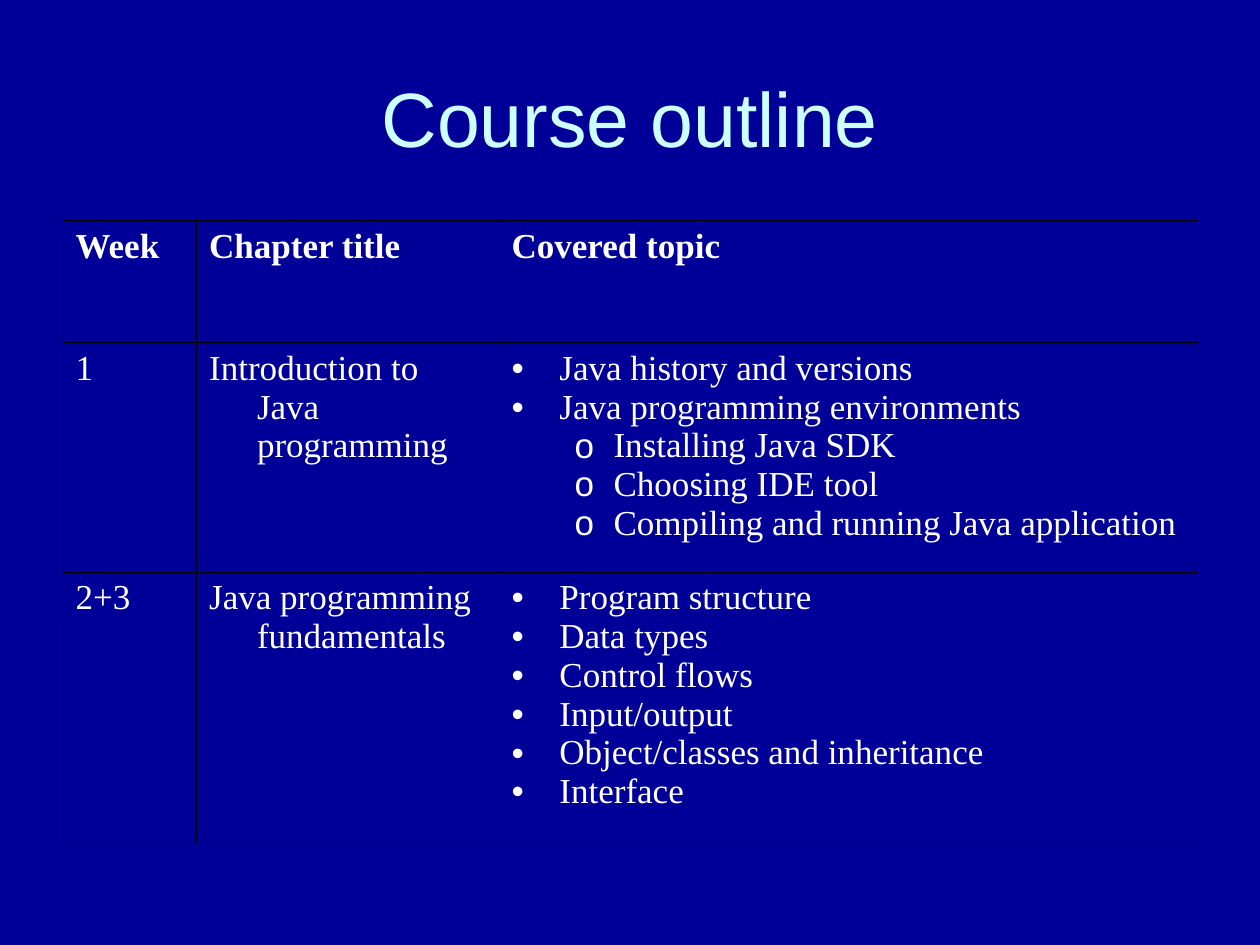
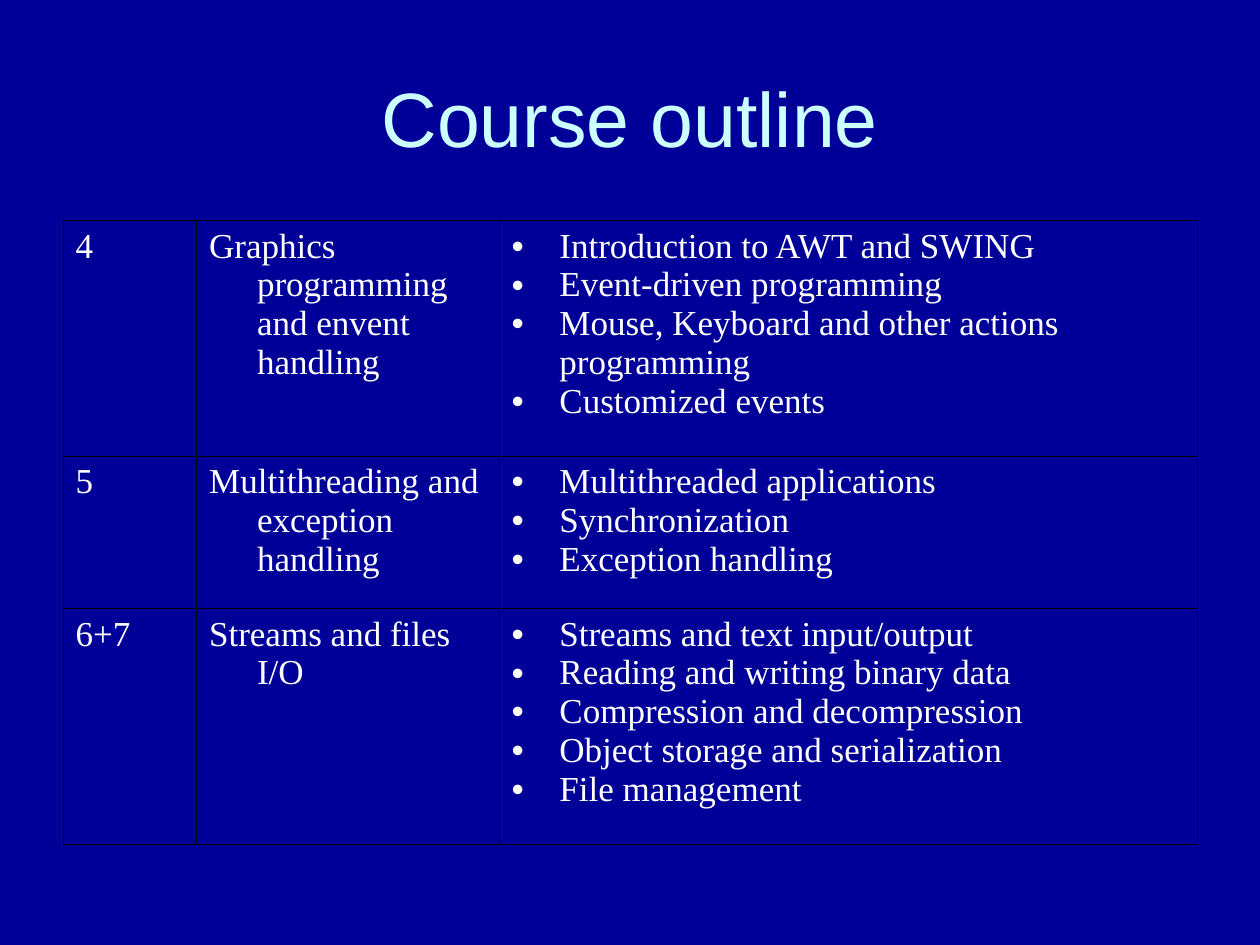
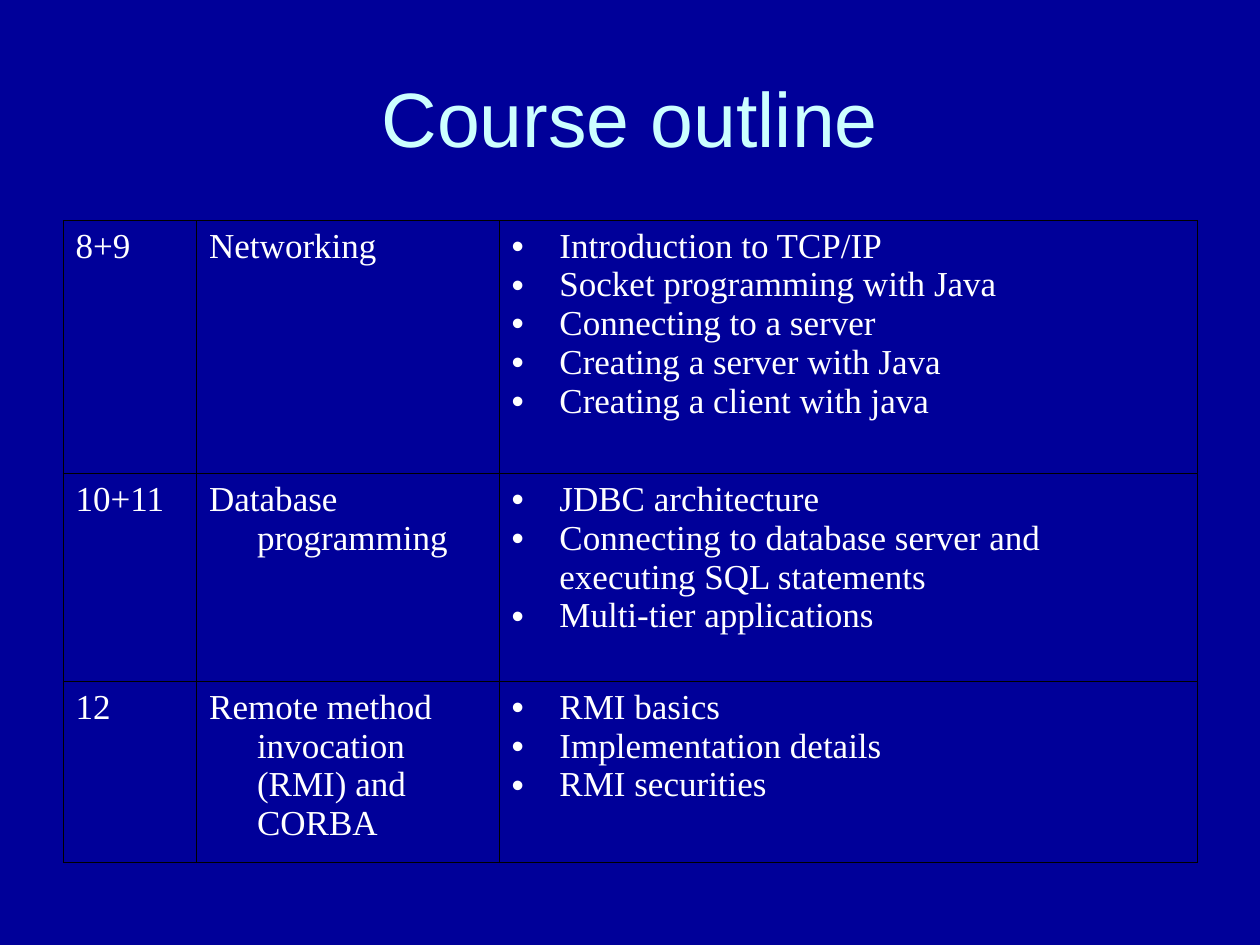
"""Build the three course outline slides."""
from lxml import etree
from pptx import Presentation
from pptx.dml.color import RGBColor
from pptx.enum.text import MSO_ANCHOR, PP_ALIGN
from pptx.oxml.ns import qn
from pptx.util import Inches, Pt

MIDDLE, CENTER = MSO_ANCHOR.MIDDLE, PP_ALIGN.CENTER
NAVY = RGBColor(0x00, 0x00, 0x99)
PALE = RGBColor(0xCC, 0xFF, 0xFF)
WHITE = RGBColor(0xFF, 0xFF, 0xFF)
BLACK = RGBColor(0x00, 0x00, 0x00)
SANS, SERIF = "Arial", "Times New Roman"

TITLE = "Course outline"
HEAD = ("Week", "Chapter title", "Covered topic")
LEFT, TOP, WIDTH = 0.5, 1.75, 9
COLS = (1.06, 2.4, 5.54)
EDGES = ("a:lnL", "a:lnR", "a:lnT", "a:lnB")
BULLETS = (("•", 0.38, 0.38), ("o", 0.81, 0.31))

SLIDES = [
    {"heights": (0.97, 1.82, 2.15), "rows": [
        HEAD,
        ("1", "Introduction to Java programming", [
            "Java history and versions",
            "Java programming environments",
            ["Installing Java SDK", "Choosing IDE tool",
             "Compiling and running Java application"]]),
        ("2+3", "Java programming fundamentals", [
            "Program structure", "Data types", "Control flows",
            "Input/output", "Object/classes and inheritance", "Interface"]),
    ]},
    {"heights": (1.87, 1.21, 1.87), "rows": [
        ("4", "Graphics programming and envent handling", [
            "Introduction to AWT and SWING", "Event-driven programming",
            "Mouse, Keyboard and other actions programming",
            "Customized events"]),
        ("5", "Multithreading and exception handling", [
            "Multithreaded applications", "Synchronization",
            "Exception handling"]),
        ("6+7", "Streams and files I/O", [
            "Streams and text input/output",
            "Reading and writing binary data",
            "Compression and decompression",
            "Object storage and serialization", "File management"]),
    ]},
    {"heights": (2.01, 1.65, 1.43), "rows": [
        ("8+9", "Networking", [
            "Introduction to TCP/IP", "Socket programming with Java",
            "Connecting to a server", "Creating a server with Java",
            "Creating a client with java"]),
        ("10+11", "Database programming", [
            "JDBC architecture",
            "Connecting to database server and executing SQL statements",
            "Multi-tier applications"]),
        ("12", "Remote method invocation (RMI) and CORBA", [
            "RMI basics", "Implementation details", "RMI securities"]),
    ]},
]


def style(para, face, size, color, bold=False):
    for run in para.runs:
        font = run.font
        font.name, font.size, font.bold = face, Pt(size), bold
        font.color.rgb = color


def add_color(node, color):
    etree.SubElement(node, qn("a:srgbClr")).set("val", str(color))


def indent(para, left, hang):
    props = para._p.get_or_add_pPr()
    props.set("marL", str(Inches(left)))
    props.set("indent", str(-Inches(hang)))
    return props


def add_bullet(para, level):
    mark, left, hang = BULLETS[level]
    para.level = level
    props = indent(para, left, hang)
    add_color(etree.SubElement(props, qn("a:buClr")), WHITE)
    etree.SubElement(props, qn("a:buFont")).set("typeface", SANS)
    etree.SubElement(props, qn("a:buChar")).set("char", mark)


def add_borders(cell):
    props = cell._tc.get_or_add_tcPr()
    for edge in EDGES:
        line = etree.SubElement(props, qn(edge))
        line.set("w", str(Pt(0.45)))
        add_color(etree.SubElement(line, qn("a:solidFill")), BLACK)


def flatten(items, level=0):
    for item in items:
        if isinstance(item, list):
            yield from flatten(item, level + 1)
        else:
            yield item, level


def fill_cell(cell, value, bold):
    add_borders(cell)
    cell.fill.background()
    frame = cell.text_frame
    if isinstance(value, list):
        lines = list(flatten(value))
        frame.text = "\n".join(text for text, _ in lines)
        for para, (_, level) in zip(frame.paragraphs, lines):
            add_bullet(para, level)
    else:
        frame.text = value
        indent(frame.paragraphs[0], 0.38, 0.38)
    for para in frame.paragraphs:
        style(para, SERIF, 20, WHITE, bold)


def add_title(slide):
    box = slide.shapes.add_textbox(
        Inches(LEFT), Inches(0.3), Inches(WIDTH), Inches(1.25))
    frame = box.text_frame
    frame.word_wrap = True
    frame.vertical_anchor = MIDDLE
    frame.text = TITLE
    para = frame.paragraphs[0]
    para.alignment = CENTER
    style(para, SANS, 44, PALE)


def add_outline(slide, rows, heights):
    table = slide.shapes.add_table(
        len(rows), len(COLS), Inches(LEFT), Inches(TOP),
        Inches(WIDTH), Inches(sum(heights))).table
    table.first_row = table.horz_banding = False
    for col, width in zip(table.columns, COLS):
        col.width = Inches(width)
    for line, row, height in zip(table.rows, rows, heights):
        line.height = Inches(height)
        for cell, value in zip(line.cells, row):
            fill_cell(cell, value, row is HEAD)


def main():
    prs = Presentation()
    prs.slide_width, prs.slide_height = Inches(10), Inches(7.5)
    back = prs.slide_master.background.fill
    back.solid()
    back.fore_color.rgb = NAVY
    for data in SLIDES:
        slide = prs.slides.add_slide(prs.slide_layouts[6])
        add_title(slide)
        add_outline(slide, data["rows"], data["heights"])
    prs.save("out.pptx")


if __name__ == "__main__":
    main()
